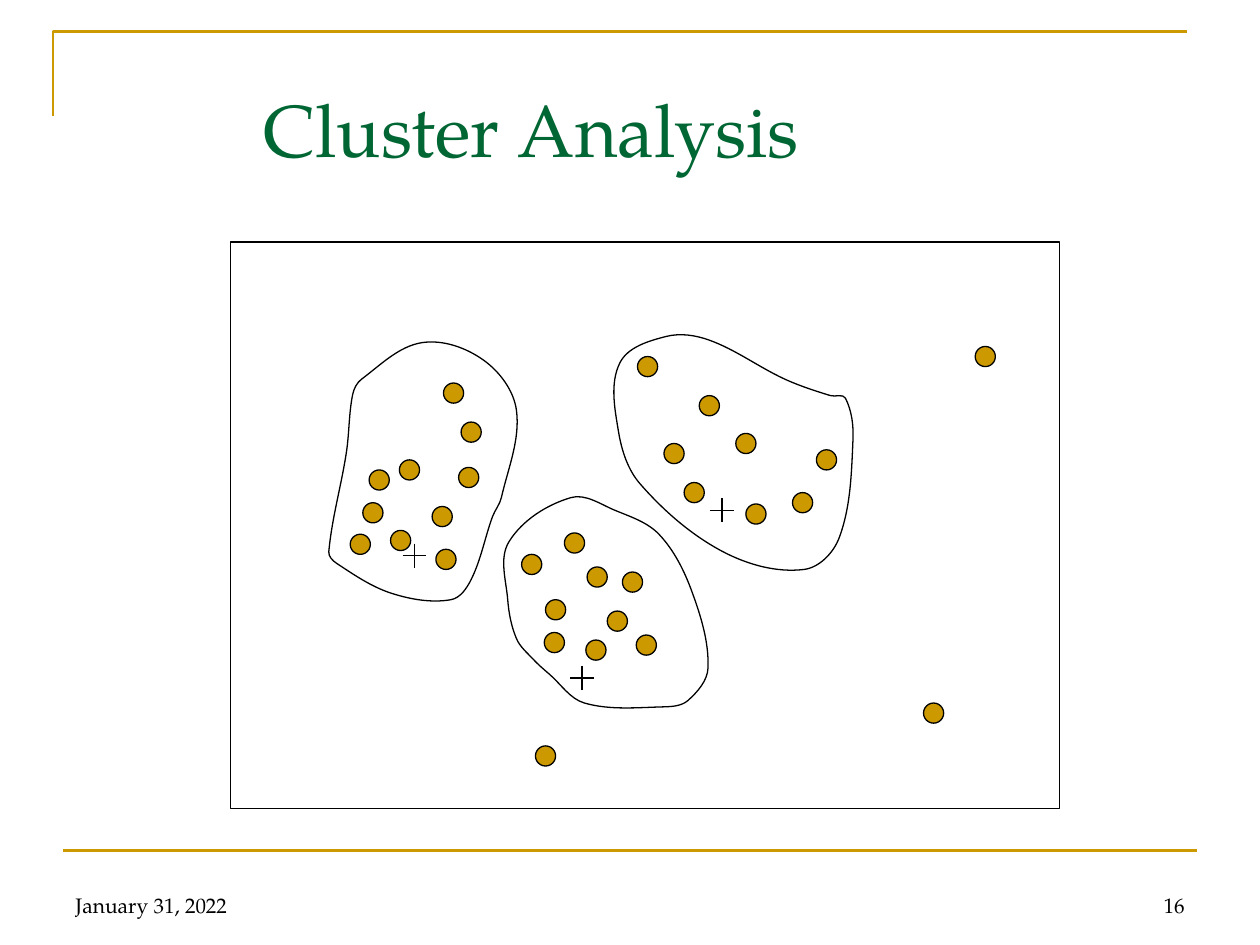
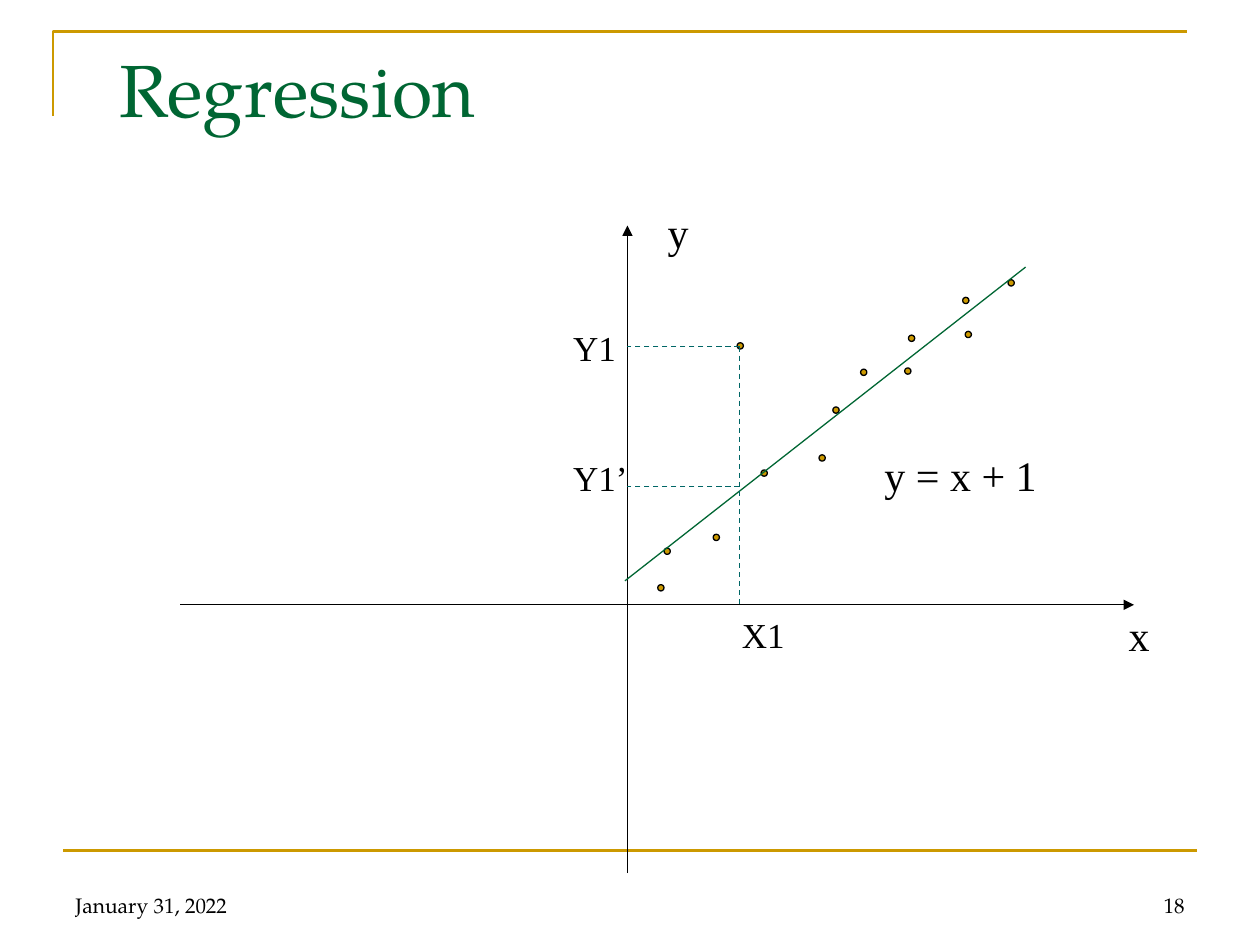
from collections import namedtuple

from pptx import Presentation
from pptx.dml.color import RGBColor
from pptx.enum.dml import MSO_LINE
from pptx.enum.shapes import MSO_CONNECTOR, MSO_SHAPE
from pptx.enum.text import MSO_ANCHOR, MSO_AUTO_SIZE, PP_ALIGN
from pptx.oxml.ns import qn
from pptx.oxml.xmlchemy import OxmlElement
from pptx.util import Inches, Pt

GOLD = RGBColor(0xCC, 0x99, 0x00)
GREEN = RGBColor(0x00, 0x66, 0x33)
TEAL = RGBColor(0x00, 0x66, 0x66)
BLACK = RGBColor(0x00, 0x00, 0x00)
SERIF = "TeX Gyre Pagella"
LABEL_FONT = "Times New Roman"
THIN, THICK = 0.75, 1.5

STRAIGHT = MSO_CONNECTOR.STRAIGHT
RECTANGLE, OVAL = MSO_SHAPE.RECTANGLE, MSO_SHAPE.OVAL
NODE = MSO_SHAPE.FLOWCHART_CONNECTOR
TOP, BOTTOM = MSO_ANCHOR.TOP, MSO_ANCHOR.BOTTOM
LEFT, RIGHT = PP_ALIGN.LEFT, PP_ALIGN.RIGHT
FIXED, GROW = MSO_AUTO_SIZE.NONE, MSO_AUTO_SIZE.SHAPE_TO_FIT_TEXT
DASH = MSO_LINE.DASH

TITLE_ONLY = 5
DATE = "January 31, 2022"


class Box(namedtuple("Box", "left top width height columns rows")):
    """An area in inches, divided into columns and rows."""

    def point(self, column, row):
        """Return the slide position of a grid point."""
        return (Inches(self.left + column * self.width / self.columns),
                Inches(self.top + row * self.height / self.rows))

    def area(self, column, row, columns, rows):
        """Return left, top, width and height of a block of cells."""
        return (*self.point(column, row),
                Inches(columns * self.width / self.columns),
                Inches(rows * self.height / self.rows))


# All grids have cells of a hundredth of an inch
PAGE = Box(0, 0, 10, 7.5, 1000, 750)
CLUSTER_BOX = Box(1.83, 1.92, 6.58, 4.5, 658, 450)
GRAPH_BOX = Box(1.43, 1.79, 7.57, 5.14, 757, 514)

# A cluster: its centre mark, its members and the bends of its outline
Cluster = namedtuple("Cluster", "centre members bends")
LEFT_CLUSTER = Cluster(
    centre=(146, 249),
    members=[(135, 237), (113, 215), (168, 218), (142, 181), (103, 240),
             (118, 189), (171, 252), (189, 187), (191, 151), (177, 120)],
    bends=[(208, 218), (191, 268), (175, 284), (128, 279), (84, 255),
           (78, 246), (92, 167), (97, 121), (104, 109), (152, 80),
           (201, 94), (227, 134), (215, 203)])
RIGHT_CLUSTER = Cluster(
    centre=(390, 213),
    members=[(380, 130), (368, 199), (409, 160), (352, 168),
             (473, 173), (454, 207), (417, 216), (331, 99)],
    bends=[(488, 124), (494, 157), (483, 235), (455, 260), (391, 246),
           (325, 192), (308, 151), (309, 96), (346, 75), (380, 78),
           (440, 109), (476, 122)])
LOWER_CLUSTER = Cluster(
    centre=(279, 346),
    members=[(239, 256), (319, 270), (290, 324), (307, 301), (258, 292),
             (257, 318), (273, 239), (291, 266), (330, 320)],
    bends=[(253, 343), (240, 331), (227, 315), (220, 284), (221, 238),
           (270, 203), (305, 213), (340, 232), (366, 277), (379, 338),
           (363, 364), (344, 369), (281, 366)])
CLUSTERS = [LOWER_CLUSTER, RIGHT_CLUSTER, LEFT_CLUSTER]
OUTLIERS = [(558, 374), (250, 408), (599, 91)]
MEMBER_SIZE, CROSS_ARM = 16, 9.5

# Regression graph: the axes cross at (Y_AXIS, X_AXIS)
Y_AXIS, X_AXIS = 355, 301
X1, Y1, Y1_FITTED = 444, 96, 207
FIT_START, FIT_END = (353, 282), (671, 33)
OBSERVATIONS = [(509, 184), (463, 196), (444, 95), (425, 247), (520, 146),
                (542, 116), (386, 258), (577, 115), (580, 89), (625, 86),
                (381, 287), (623, 59), (659, 45)]
OBSERVATION_SIZE = 5
BIG_LABELS = [("x", (743, 300), 37), ("y", (377, -20), 37),
              ("y = x + 1", (549, 173), 141)]
SMALL_LABELS = [("X1", (X1 - 8, X_AXIS + 2), 54),
                ("Y1", (Y_AXIS - 53, Y1 - 21), 54),
                ("Y1\u2019", (Y_AXIS - 53, Y1_FITTED - 29), 63)]


def write(shape, text, size=12, font=SERIF, color=BLACK, align=LEFT,
          anchor=TOP, wrap=True, fit=FIXED):
    """Put formatted text into a shape."""
    frame = shape.text_frame
    frame.auto_size, frame.word_wrap, frame.vertical_anchor = fit, wrap, anchor
    paragraph = frame.paragraphs[0]
    paragraph.alignment = align
    run = paragraph.add_run()
    run.text = text
    run.font.size, run.font.name = Pt(size), font
    run.font.color.rgb = color


def style(shape, fill=None, color=BLACK, width=THIN):
    """Set fill and line of a shape and drop its shadow."""
    shape.shadow.inherit = False
    if fill is None:
        shape.fill.background()
    else:
        shape.fill.solid()
        shape.fill.fore_color.rgb = fill
    shape.line.color.rgb, shape.line.width = color, Pt(width)


def add_line(shapes, box, start, end, color=BLACK, width=THIN, dash=None,
             arrow=False):
    """Draw a straight line between two grid points."""
    line = shapes.add_connector(STRAIGHT, *box.point(*start), *box.point(*end))
    line.line.color.rgb, line.line.width = color, Pt(width)
    if dash:
        line.line.dash_style = dash
    if arrow:
        head = OxmlElement("a:tailEnd")
        head.set("type", "triangle")
        line.element.spPr.find(qn("a:ln")).append(head)
    line.element.spPr.append(OxmlElement("a:effectLst"))
    return line


def add_dots(shapes, box, centres, size, kind):
    """Draw gold dots centred on grid points."""
    for column, row in centres:
        corner = column - size // 2, row - size // 2
        dot = shapes.add_shape(kind, *box.area(*corner, size, size))
        style(dot, fill=GOLD)


def add_polyline(shapes, box, points, close=False):
    """Draw a freeform through grid points."""
    start, *others = [box.point(*point) for point in points]
    builder = shapes.build_freeform(*start, scale=1.0)
    builder.add_line_segments(others, close=close)
    return builder.convert_to_shape()


def smooth_loop(bends):
    """Return a start point, then two handles and an end for each curve.

    The loop runs at each bend parallel to the line between its neighbours,
    and each handle is a third as long as the distance it helps to span.
    """
    places = [complex(*bend) for bend in bends]
    following = places[1:] + places[:1]
    previous = places[-1:] + places[:-1]
    directions = [(after - before) / abs(after - before)
                  for before, after in zip(previous, following)]
    loop = places[:1]
    for start, end, leaving, arriving in zip(
            places, following, directions, directions[1:] + directions[:1]):
        reach = abs(end - start) / 3
        loop += [start + reach * leaving, end - reach * arriving, end]
    return [(place.real, place.imag) for place in loop]


def add_smooth_outline(shapes, box, bends):
    """Draw a closed, unfilled outline that curves through its bends."""
    outline = add_polyline(shapes, box, smooth_loop(bends), close=True)
    style(outline)
    drawing = outline.element.find(".//" + qn("a:path"))
    segments = iter(drawing.findall(qn("a:lnTo")))
    for triple in zip(segments, segments, segments):
        curve = OxmlElement("a:cubicBezTo")
        triple[0].addprevious(curve)
        for segment in triple:
            curve.append(segment[0])
            drawing.remove(segment)


def add_cross(shapes, box, centre):
    """Draw a grouped plus sign around a grid point."""
    column, row = centre
    parts = shapes.add_group_shape().shapes
    for across, down in ((CROSS_ARM, 0), (0, CROSS_ARM)):
        add_line(parts, box, (column - across, row - down),
                 (column + across, row + down))


def add_cluster(shapes, box, cluster):
    """Draw one cluster: outline, members and centre mark."""
    add_smooth_outline(shapes, box, cluster.bends)
    add_dots(shapes, box, cluster.members, MEMBER_SIZE, NODE)
    add_cross(shapes, box, cluster.centre)


def add_labels(shapes, box, labels, size, height):
    """Write labels, each a text with its corner and width."""
    for text, corner, width in labels:
        label = shapes.add_textbox(*box.area(*corner, width, height))
        write(label, text, size=size, font=LABEL_FONT, wrap=False, fit=GROW)


def add_master_rules(presentation, slide):
    """Draw the gold rules and move them to the slide master."""
    corner = add_polyline(slide.shapes, PAGE, [(42, 92), (42, 25), (942, 25)])
    style(corner, color=GOLD, width=THICK)
    rule = add_line(slide.shapes, PAGE, (50, 675), (950, 675), GOLD, THICK)
    for number, shape in enumerate((corner, rule), start=101):
        next(shape.element.iter(qn("p:cNvPr"))).set("id", str(number))
        presentation.slide_master.shapes.element.append(shape.element)


def add_page(presentation, title, title_area, number):
    """Add a slide with its title, date and slide number."""
    slide = presentation.slides.add_slide(
        presentation.slide_layouts[TITLE_ONLY])
    heading = slide.shapes.title
    heading.left, heading.top, heading.width, heading.height = PAGE.area(
        *title_area)
    write(heading, title, size=42, color=GREEN)
    for text, column, align in ((DATE, 50, LEFT), (number, 717, RIGHT)):
        footer = slide.shapes.add_textbox(*PAGE.area(column, 683, 233, 50))
        write(footer, text, align=align, anchor=BOTTOM)
    return slide


def draw_clusters(slide, box):
    """Draw the framed field with its clusters and outliers."""
    shapes = slide.shapes.add_group_shape().shapes
    frame = shapes.add_shape(RECTANGLE, *box.area(0, 0, box.columns, box.rows))
    style(frame)
    add_dots(shapes, box, OUTLIERS, MEMBER_SIZE, NODE)
    for cluster in CLUSTERS:
        add_cluster(shapes, box, cluster)


def draw_regression(slide, box):
    """Draw axes, observations, fitted line, guides and labels."""
    shapes = slide.shapes
    add_line(shapes, box, (0, X_AXIS), (box.columns, X_AXIS), arrow=True)
    add_line(shapes, box, (Y_AXIS, box.rows), (Y_AXIS, 0), arrow=True)
    add_dots(shapes, box, OBSERVATIONS, OBSERVATION_SIZE, OVAL)
    add_line(shapes, box, FIT_START, FIT_END, GREEN)
    add_line(shapes, box, (X1, Y1), (X1, X_AXIS), TEAL, dash=DASH)
    for height in (Y1, Y1_FITTED):
        add_line(shapes, box, (X1, height), (Y_AXIS, height), TEAL, dash=DASH)
    add_labels(shapes, box, BIG_LABELS, size=24, height=50)
    add_labels(shapes, box, SMALL_LABELS, size=20, height=43)


def main():
    """Build and save the presentation."""
    presentation = Presentation()
    presentation.slide_width = Inches(PAGE.width)
    presentation.slide_height = Inches(PAGE.height)
    slide = add_page(presentation, "Cluster Analysis", (199, 62, 488, 83), "16")
    add_master_rules(presentation, slide)
    draw_clusters(slide, CLUSTER_BOX)
    slide = add_page(presentation, "Regression", (85, 30, 555, 125), "18")
    draw_regression(slide, GRAPH_BOX)
    presentation.save("out.pptx")


main()
